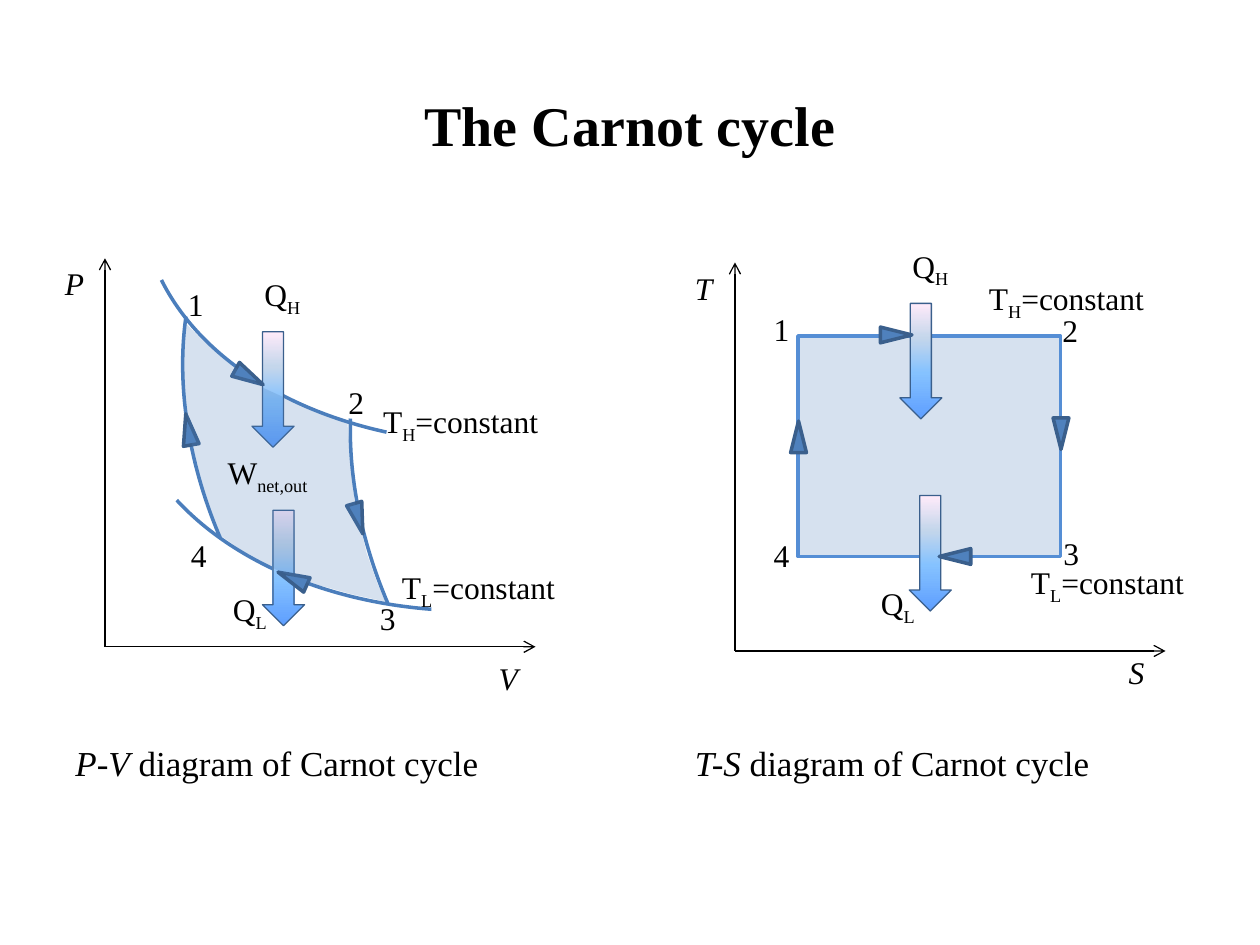
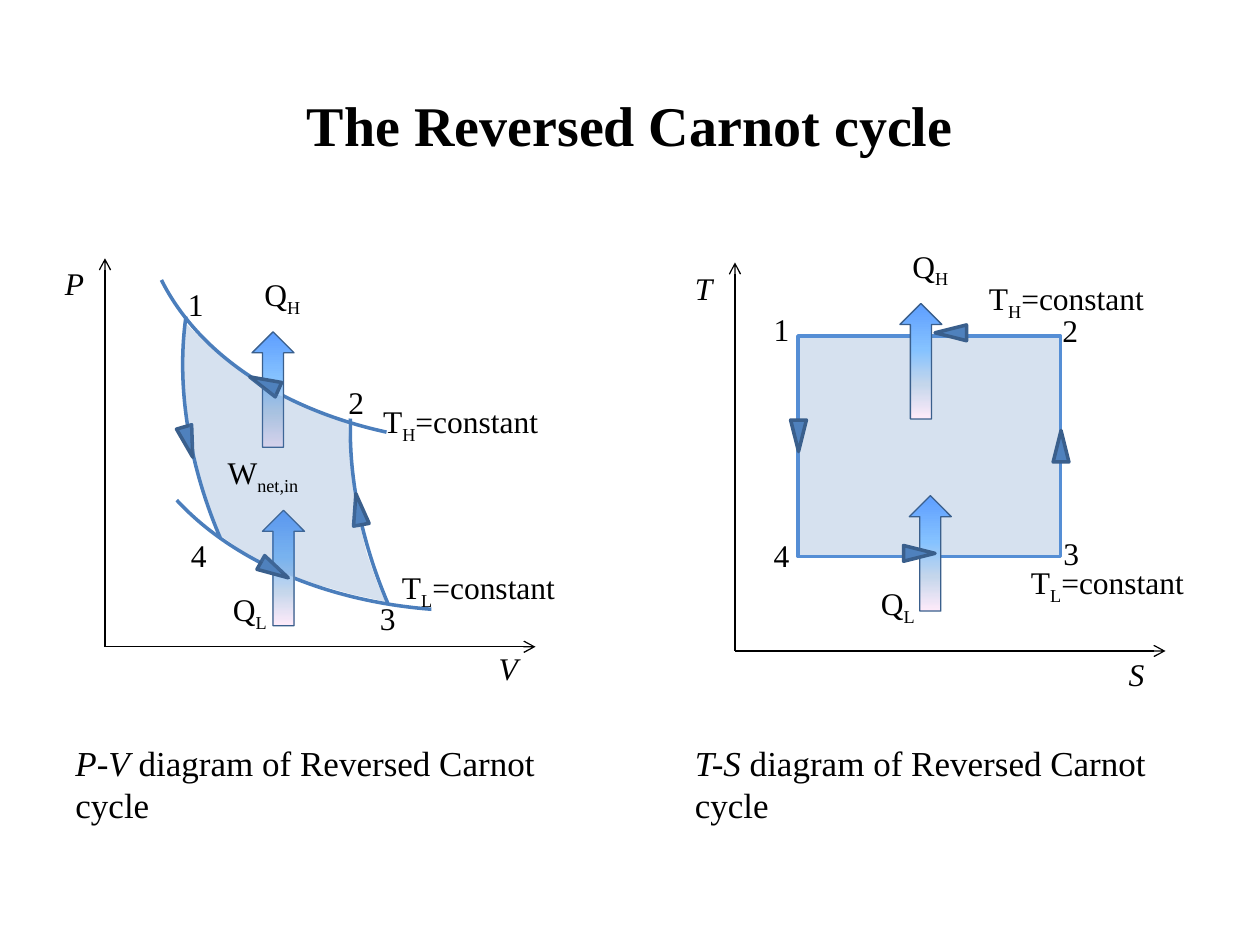
from dataclasses import dataclass

from lxml.etree import SubElement
from pptx import Presentation
from pptx.dml.color import RGBColor
from pptx.enum.shapes import MSO_CONNECTOR as Connector, MSO_SHAPE as Preset
from pptx.enum.text import MSO_ANCHOR as Anchor, MSO_AUTO_SIZE as AutoSize, PP_ALIGN as Align
from pptx.oxml.ns import qn
from pptx.util import Inches, Pt

COLUMNS, ROWS = 120, 90
WIDTH, HEIGHT = Inches(10), Inches(7.5)
FONT = "Times New Roman"
BLACK, BLUE, OUTLINE, CURVE, FRAME = "000000", "4F81BD", "3A5F8C", "4B7EBC", "558ED5"
HEAT_STOPS = ((0, "5E9EFF"), (40, "85C2FF"), (70, "C4D6EB"), (100, "FFEBFA"))
AREA_ALPHA = 23
TEXT_ROWS = 4.8


@dataclass(frozen=True)
class Label:
    x: float
    y: float
    width: float
    base: str
    sub: str = ""
    rest: str = ""


@dataclass(frozen=True)
class Arc:
    x: float
    y: float
    turn: float
    start: float
    end: float


@dataclass(frozen=True)
class Marker:
    x: float
    y: float
    turn: float


@dataclass(frozen=True)
class Axes:
    x: float
    y: float
    vertical: str
    horizontal: str
    caption_x: float


@dataclass(frozen=True)
class Cycle:
    name: str
    work: Label
    heat_turn: float
    volume_label_y: float
    entropy_label_y: float
    pv_markers: tuple[Marker, ...]
    ts_markers: tuple[Marker, ...]


PV_AXES = Axes(10, 61.6, "P", "V", 6)
TS_AXES = Axes(70, 62, "T", "S", 65)
PV_ARCS = (
    Arc(10.08, 20.16, 239, 171.47, 197.38),
    Arc(13.44, -6.84, 176.5, 179.9, 208.96),
    Arc(11.4, 9.12, 176.5, 171.47, 202.88),
    Arc(26.04, 26.4, 239, 171.47, 193.66),
)
PV_AREA = (
    (17.7, 30.8), (19.1, 32.2), (19.3, 32.4), (22.3, 34.9), (25.2, 37), (28.7, 38.6),
    (30.8, 39.5), (32.8, 40.2), (33.1, 40.4), (33.5, 45.2), (33.8, 47.8), (34.9, 52.6),
    (36, 55.7), (36.7, 57.3), (33.5, 56.6), (31, 55.9), (29.5, 55.6), (26.4, 54.3),
    (25.1, 53.6), (23, 52.4), (21, 51), (19.6, 47.4), (18.7, 44.5), (18.2, 42),
    (17.9, 39.9), (17.5, 37.4), (17.5, 34), (17.6, 31.6),
)
PV_HEAT = ((25, 48.6), (24, 31.6))
TS_HEAT = ((86.6, 47.2), (85.7, 28.9))
PV_LABELS = (
    Label(16.7, 26.6, 4, "1"),
    Label(32, 35.9, 4, "2"),
    Label(35, 56.5, 4, "3"),
    Label(17, 50.5, 4, "4"),
    Label(24, 25.6, 6.1, "Q", "H"),
    Label(21, 55.6, 5.9, "Q", "L"),
    Label(35.3, 37.7, 17.5, "T", "H", "=constant"),
    Label(37.1, 53.5, 17.3, "T", "L", "=constant"),
)
TS_LABELS = (
    Label(72.5, 28.9, 4, "1"),
    Label(100, 29, 4, "2"),
    Label(100.1, 50.3, 4, "3"),
    Label(72.5, 50.5, 4, "4"),
    Label(85.7, 22.9, 6.1, "Q", "H"),
    Label(82.7, 55, 5.9, "Q", "L"),
    Label(93, 26, 17.5, "T", "H", "=constant"),
    Label(97, 53, 17.3, "T", "L", "=constant"),
)
CYCLES = (
    Cycle(
        "Carnot cycle", Label(20.5, 42.6, 10.8, "W", "net,out"), 0, 62.2, 61.6,
        (Marker(27.1, 53.6, 114), Marker(23, 34.4, 299.2), Marker(33.4, 47.9, 344), Marker(17.2, 39.4, 170)),
        (Marker(75.3, 40.1, 180), Marker(100.3, 39.8, 0), Marker(90.2, 51.5, 90), Marker(84.6, 30.4, 270)),
    ),
    Cycle(
        "Reversed Carnot cycle", Label(20.5, 42.6, 9.8, "W", "net,in"), 180, 61.2, 61.8,
        (Marker(24.4, 35, 114), Marker(25.4, 52.8, 299.2), Marker(17.2, 40.6, 344), Marker(33.4, 47, 170)),
        (Marker(100.3, 41, 180), Marker(75.3, 40, 0), Marker(89.8, 30.2, 90), Marker(86.8, 51.2, 270)),
    ),
)


def across(columns: float) -> int:
    return round(WIDTH * columns / COLUMNS)


def down(rows: float) -> int:
    return round(HEIGHT * rows / ROWS)


def rgb(code: str) -> RGBColor:
    return RGBColor.from_string(code)


def set_font(span, size: float, bold: bool = False, italic: bool = False) -> None:
    span.font.name = FONT
    span.font.size = Pt(size)
    span.font.bold = bold
    span.font.italic = italic
    span.font.color.rgb = rgb(BLACK)


def set_line(item, color: str, width: float) -> None:
    item.line.color.rgb = rgb(color)
    item.line.width = Pt(width)


def fill_solid(shape, color: str, alpha: int = 100) -> None:
    shape.fill.solid()
    shape.fill.fore_color.rgb = rgb(color)
    if alpha < 100:
        color_node = shape.element.spPr.find(qn("a:solidFill"))[0]
        SubElement(color_node, qn("a:alpha"), val=str(alpha * 1000))


def fill_heat(shape) -> None:
    shape.fill.gradient()
    shape.fill.gradient_angle = 90
    stops = shape.element.spPr.find(qn("a:gradFill")).find(qn("a:gsLst"))
    stops.clear()
    for share, color in HEAT_STOPS:
        stop = SubElement(stops, qn("a:gs"), pos=str(share * 1000))
        SubElement(stop, qn("a:srgbClr"), val=color)


def add_preset(page, preset, x: float, y: float, width: float, height: float, turn: float = 0):
    shape = page.shapes.add_shape(preset, across(x), down(y), across(width), down(height))
    shape.rotation = turn
    shape.shadow.inherit = False
    return shape


def add_box(page, x: float, y: float, width: float, height: float, wrap: bool):
    box = page.shapes.add_textbox(across(x), down(y), across(width), down(height))
    box.text_frame.word_wrap = wrap
    box.text_frame.auto_size = AutoSize.SHAPE_TO_FIT_TEXT
    return box.text_frame.paragraphs[0]


def add_span(para, text: str, size: float, italic: bool = False):
    span = para.add_run()
    span.text = text
    set_font(span, size, italic=italic)
    return span


def draw_label(page, label: Label, italic: bool = False) -> None:
    para = add_box(page, label.x, label.y, label.width, TEXT_ROWS, False)
    add_span(para, label.base, 18, italic)
    if label.sub:
        span = add_span(para, label.sub, 18)
        span.font._element.set("baseline", "-25000")
    if label.rest:
        add_span(para, label.rest, 18)


def draw_axes(page, axes: Axes, horizontal_y: float) -> None:
    for end_x, end_y in ((axes.x + 41, axes.y), (axes.x, axes.y - 37)):
        axis = page.shapes.add_connector(
            Connector.STRAIGHT, across(axes.x), down(axes.y), across(end_x), down(end_y))
        set_line(axis, BLACK, 0.75)
        properties = axis.element.spPr
        SubElement(properties.find(qn("a:ln")), qn("a:tailEnd"), type="arrow")
        SubElement(properties, qn("a:effectLst"))
    draw_label(page, Label(axes.x + 36.3, horizontal_y, 4.2, axes.horizontal), True)
    draw_label(page, Label(axes.x - 5, axes.y - 37, 4.2, axes.vertical), True)


def draw_heat(page, places: tuple[tuple[float, float], ...], turn: float) -> None:
    for x, y in places:
        arrow = add_preset(page, Preset.DOWN_ARROW, x, y, 4, 11, turn)
        fill_heat(arrow)
        set_line(arrow, OUTLINE, 0.75)


def draw_markers(page, markers: tuple[Marker, ...]) -> None:
    for marker in markers:
        shape = add_preset(page, Preset.FLOWCHART_MERGE, marker.x, marker.y, 1.5, 3, marker.turn)
        fill_solid(shape, BLUE)
        set_line(shape, OUTLINE, 2)


def draw_caption(page, axes: Axes, name: str) -> None:
    para = add_box(page, axes.caption_x, 70, 52, 5.3, True)
    add_span(para, f"{axes.vertical}-{axes.horizontal}", 20, True)
    add_span(para, f" diagram of {name}", 20)


def draw_pv_area(page) -> None:
    points = [(across(x), down(y)) for x, y in PV_AREA]
    builder = page.shapes.build_freeform(*points[0])
    builder.add_line_segments(points[1:], close=True)
    area = builder.convert_to_shape()
    area.shadow.inherit = False
    fill_solid(area, BLUE, AREA_ALPHA)
    area.line.fill.background()


def draw_pv_diagram(page, cycle: Cycle) -> None:
    for arc in PV_ARCS:
        curve = add_preset(page, Preset.ARC, arc.x, arc.y, 70, 49, arc.turn)
        curve.adjustments[0] = arc.start
        curve.adjustments[1] = arc.end
        curve.fill.background()
        set_line(curve, CURVE, 2)
    draw_heat(page, PV_HEAT, cycle.heat_turn)
    draw_axes(page, PV_AXES, cycle.volume_label_y)
    draw_markers(page, cycle.pv_markers)
    draw_pv_area(page)
    for label in (*PV_LABELS, cycle.work):
        draw_label(page, label)
    draw_caption(page, PV_AXES, cycle.name)


def draw_ts_diagram(page, cycle: Cycle) -> None:
    draw_axes(page, TS_AXES, cycle.entropy_label_y)
    area = add_preset(page, Preset.RECTANGLE, 76, 32, 25, 21)
    fill_solid(area, BLUE, AREA_ALPHA)
    set_line(area, FRAME, 2)
    draw_heat(page, TS_HEAT, cycle.heat_turn)
    draw_markers(page, cycle.ts_markers)
    for label in TS_LABELS:
        draw_label(page, label)
    draw_caption(page, TS_AXES, cycle.name)


def draw_title(page, text: str) -> None:
    title = page.shapes.title
    title.left, title.top = across(6), down(8)
    title.width, title.height = across(108), down(9)
    title.text_frame.text = text
    title.text_frame.vertical_anchor = Anchor.TOP
    para = title.text_frame.paragraphs[0]
    para.alignment = Align.CENTER
    set_font(para.runs[0], 32, bold=True)


def main() -> None:
    """Build the slides of the Carnot cycle and its reverse."""
    deck = Presentation()
    deck.slide_width, deck.slide_height = WIDTH, HEIGHT
    for cycle in CYCLES:
        page = deck.slides.add_slide(deck.slide_layouts[5])
        draw_title(page, f"The {cycle.name}")
        draw_pv_diagram(page, cycle)
        draw_ts_diagram(page, cycle)
    deck.save("out.pptx")


if __name__ == "__main__":
    main()
